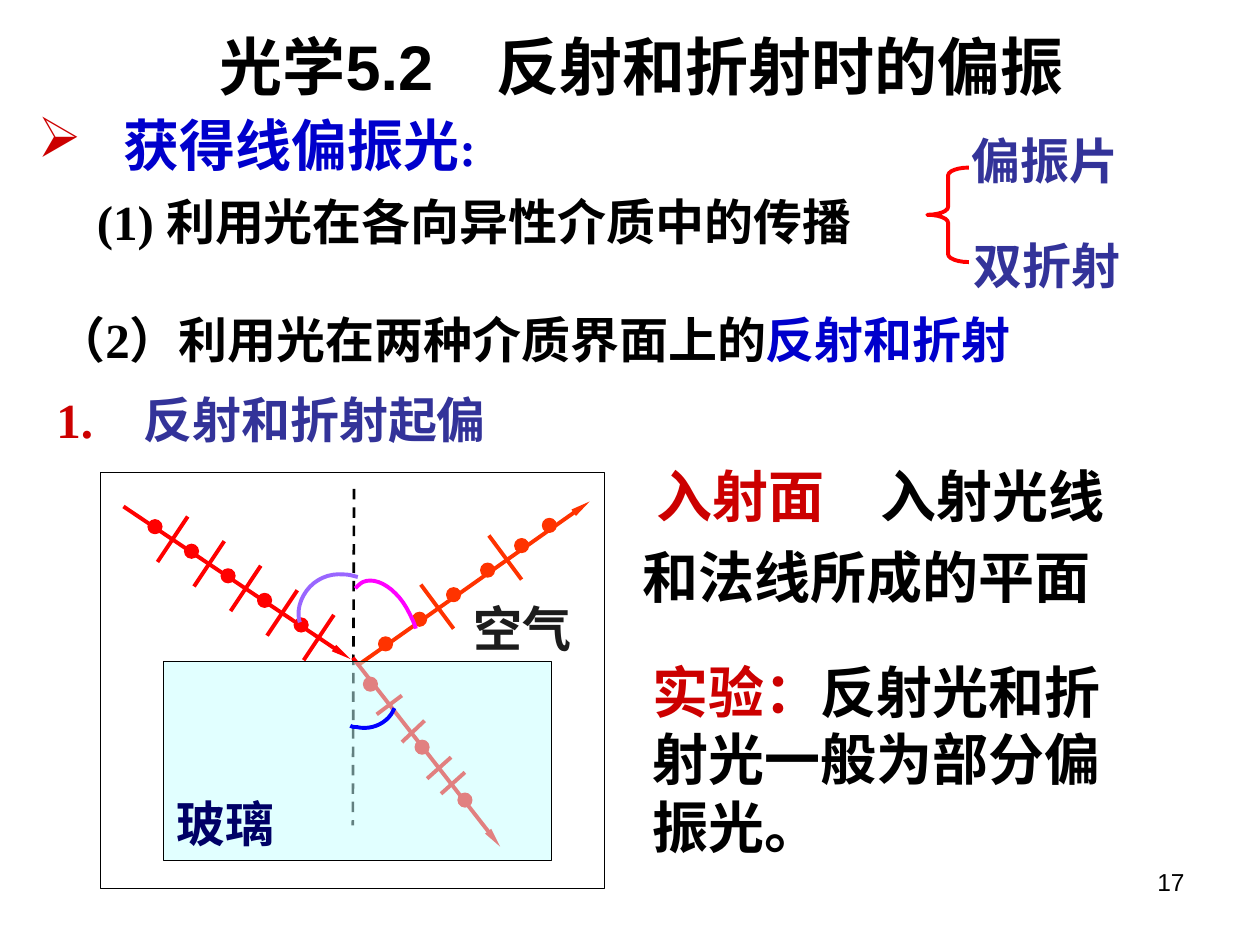
from dataclasses import dataclass

from lxml import etree
from pptx import Presentation
from pptx import util as u
from pptx.dml.color import RGBColor
from pptx.enum import dml, shapes, text
from pptx.oxml.ns import qn

COLORS = {
    "black": "000000", "white": "FFFFFF", "red": "FF0000", "crimson": "CC0000",
    "orange": "FF3300", "blue": "0000CC", "indigo": "333399", "navy": "000066",
    "charcoal": "1C1C1C", "glass": "C5FFFF", "violet": "9966FF",
    "magenta": "FF00FF", "bright blue": "0000FF",
}
TIMES = "Times New Roman"
Point = tuple[float, float]
Box = tuple[float, float, float, float]


@dataclass
class Words:
    content: str
    color: str = "black"
    size: float = 28
    font: str = TIMES
    bold: bool = True


@dataclass
class Label:
    box: Box
    words: list[Words]
    align: text.PP_ALIGN = text.PP_ALIGN.LEFT
    anchor: text.MSO_ANCHOR = text.MSO_ANCHOR.TOP
    spacing: float = 1.0
    margin: float = 0
    indent: float = 0
    bullet: str = ""


@dataclass
class Ray:
    start: Point
    end: Point
    color: str
    dots: list[Point]
    ticks: list[tuple[Point, Point]]


@dataclass
class Arc:
    color: str
    start: Point
    curves: list[tuple[Point, Point, Point]]


def rgb(name: str) -> RGBColor:
    return RGBColor.from_string(COLORS[name])


def child(parent, tag: str, **attributes: str):
    return etree.SubElement(parent, qn(tag), **attributes)


def add_label(slide, label: Label) -> None:
    frame = slide.shapes.add_textbox(*map(u.Inches, label.box)).text_frame
    frame.word_wrap = True
    frame.vertical_anchor = label.anchor
    paragraph = frame.paragraphs[0]
    properties = paragraph._p.get_or_add_pPr()
    properties.set("marL", str(u.Inches(label.margin)))
    properties.set("indent", str(u.Inches(label.indent)))
    if label.bullet:
        child(child(properties, "a:buClr"), "a:srgbClr", val=COLORS["crimson"])
        child(properties, "a:buChar", char=label.bullet)
    paragraph.alignment = label.align
    paragraph.line_spacing = label.spacing
    for words in label.words:
        run = paragraph.add_run()
        run.text = words.content
        run.font.name = words.font
        run.font.size = u.Pt(words.size)
        run.font.bold = words.bold
        run.font.color.rgb = rgb(words.color)


def add_line(slide, start: Point, end: Point, color: str, width: float = 2.25,
             dashed: bool = False, arrow: bool = False) -> None:
    connector = slide.shapes.add_connector(
        shapes.MSO_CONNECTOR.STRAIGHT, *map(u.Inches, start + end))
    connector.line.color.rgb = rgb(color)
    connector.line.width = u.Pt(width)
    if dashed:
        connector.line.dash_style = dml.MSO_LINE.DASH
    if arrow:
        child(connector.line._get_or_add_ln(), "a:tailEnd", type="triangle", w="sm", len="lg")
    child(connector._element.spPr, "a:effectLst")


def style_shape(shape, line: str, width: float = 0.75, fill: str = "") -> None:
    shape.shadow.inherit = False
    shape.line.color.rgb = rgb(line)
    shape.line.width = u.Pt(width)
    if fill:
        shape.fill.solid()
        shape.fill.fore_color.rgb = rgb(fill)
    else:
        shape.fill.background()


def add_preset(slide, kind: shapes.MSO_SHAPE, box: Box, line: str,
               width: float = 0.75, fill: str = ""):
    shape = slide.shapes.add_shape(kind, *map(u.Inches, box))
    style_shape(shape, line, width, fill)
    return shape


def add_ray(slide, ray: Ray, diameter: float = 0.11) -> None:
    add_line(slide, ray.start, ray.end, ray.color, arrow=True)
    for start, end in ray.ticks:
        add_line(slide, start, end, ray.color)
    for x, y in ray.dots:
        box = (x - diameter / 2, y - diameter / 2, diameter, diameter)
        add_preset(slide, shapes.MSO_SHAPE.OVAL, box, ray.color, fill=ray.color)


def add_arc(slide, arc: Arc, steps: int = 12) -> None:
    points, start = [], arc.start
    for first, second, end in arc.curves:
        for step in range(1, steps + 1):
            t = step / steps
            points.append(tuple(
                u.Inches((1 - t) ** 3 * a + 3 * t * (1 - t) ** 2 * b
                         + 3 * t ** 2 * (1 - t) * c + t ** 3 * d)
                for a, b, c, d in zip(start, first, second, end)))
        start = end
    builder = slide.shapes.build_freeform(*map(u.Inches, arc.start))
    builder.add_line_segments(points, close=False)
    style_shape(builder.convert_to_shape(), arc.color, 2.25)


def series(start: Point, step: Point, count: int) -> list[Point]:
    return [(start[0] + i * step[0], start[1] + i * step[1]) for i in range(count)]


INCIDENT_STEP = (0.29, 0.195)
INCIDENT = Ray((0.98, 4.02), (2.78, 5.23), "red", series((1.23, 4.18), INCIDENT_STEP, 5),
               list(zip(series((1.49, 4.1), INCIDENT_STEP, 5),
                        series((1.25, 4.46), INCIDENT_STEP, 5))))
REFLECTED = Ray((2.84, 5.28), (4.68, 3.98), "orange",
                series((3.06, 5.11), (0.27, -0.195), 5) + [(4.36, 4.17)],
                [((3.34, 4.64), (3.6, 4.99)), ((3.88, 4.25), (4.14, 4.6))])
REFRACTED = Ray((2.8, 5.22), (3.97, 6.72), "red", [(2.94, 5.43), (3.35, 5.93), (3.69, 6.35)],
                [((2.99, 5.67), (3.19, 5.52)), ((3.19, 5.89), (3.37, 5.72)),
                 ((3.39, 6.18), (3.58, 6.01)), ((3.5, 6.3), (3.69, 6.13))])
ARCS = [
    Arc("magenta", (2.82, 4.67), [((2.84, 4.65), (2.86, 4.63), (2.88, 4.62)),
                                  ((2.99, 4.57), (3.16, 4.68), (3.25, 4.87)),
                                  ((3.27, 4.91), (3.29, 4.95), (3.3, 4.99))]),
    Arc("violet", (2.84, 4.58), [((2.8, 4.57), (2.77, 4.56), (2.73, 4.56)),
                                 ((2.55, 4.54), (2.39, 4.67), (2.37, 4.85)),
                                 ((2.37, 4.88), (2.37, 4.91), (2.38, 4.94))]),
    Arc("bright blue", (2.78, 5.76), [((2.8, 5.77), (2.81, 5.77), (2.83, 5.77)),
                                      ((2.96, 5.8), (3.09, 5.73), (3.13, 5.62))]),
]
LABELS = [
    Label((0.59, 0, 9, 1.04), [Words("光学5.2　反射和折射时的偏振", size=36, font="Arial")],
          text.PP_ALIGN.CENTER, text.MSO_ANCHOR.MIDDLE),
    Label((0.2, 0.83, 5.59, 0.63), [Words("获得线偏振光", "blue", 32, "Arial"), Words(":", "blue")],
          margin=0.68, indent=-0.68, bullet="➢"),
    Label((0.67, 1.47, 7.01, 0.57), [Words("(1) 利用光在各向异性介质中的传播")]),
    Label((7.61, 0.99, 1.5, 0.57), [Words("偏振片", "indigo")]),
    Label((7.63, 1.82, 1.42, 0.57), [Words("双折射", "indigo")]),
    Label((0.35, 2.41, 8.51, 0.57), [Words("（2）利用光在两种介质界面上的"), Words("反射和折射", "blue")]),
    Label((0.35, 3.04, 4, 0.57), [Words("1.\t", "crimson"), Words("反射和折射起偏", "indigo")],
          margin=0.69, indent=-0.69),
    Label((5, 3.51, 4.17, 1.38),
          [Words("入射面　", "crimson", 32), Words("入射光线和法线所成的平面", size=32)],
          spacing=1.2, indent=0.11),
    Label((5.08, 5.17, 3.94, 1.7),
          [Words("实验：", "crimson", 32), Words("反射光和折射光一般为部分偏振光。", size=32)]),
    Label((3.66, 4.7, 1.42, 0.57), [Words("空气", "charcoal")]),
    Label((1.3, 6.25, 1.4, 0.57), [Words("玻璃", "navy")]),
    Label((7.17, 6.83, 2.33, 0.52), [Words("17", size=14, font="Arial", bold=False)],
          text.PP_ALIGN.RIGHT),
]


def main() -> None:
    """Build the slide on polarization by reflection and refraction."""
    presentation = Presentation()
    presentation.slide_width, presentation.slide_height = u.Inches(10), u.Inches(7.5)
    slide = presentation.slides.add_slide(presentation.slide_layouts[6])
    brace = add_preset(slide, shapes.MSO_SHAPE.LEFT_BRACE, (7.36, 1.33, 0.33, 0.75), "red", 2.25)
    brace.adjustments[0] = 0.19
    add_preset(slide, shapes.MSO_SHAPE.RECTANGLE, (0.8, 3.75, 4, 3.3), "black", fill="white")
    add_ray(slide, REFLECTED)
    add_line(slide, (2.81, 3.88), (2.8, 6.55), "black", 1.5, dashed=True)
    add_ray(slide, INCIDENT)
    add_ray(slide, REFRACTED)
    glass = add_preset(slide, shapes.MSO_SHAPE.RECTANGLE, (1.3, 5.25, 3.08, 1.58),
                       "black", fill="glass")
    fill_color = glass._element.spPr.find(qn("a:solidFill")).find(qn("a:srgbClr"))
    child(fill_color, "a:alpha", val="50000")
    for arc in ARCS:
        add_arc(slide, arc)
    for label in LABELS:
        add_label(slide, label)
    presentation.save("out.pptx")


if __name__ == "__main__":
    main()
